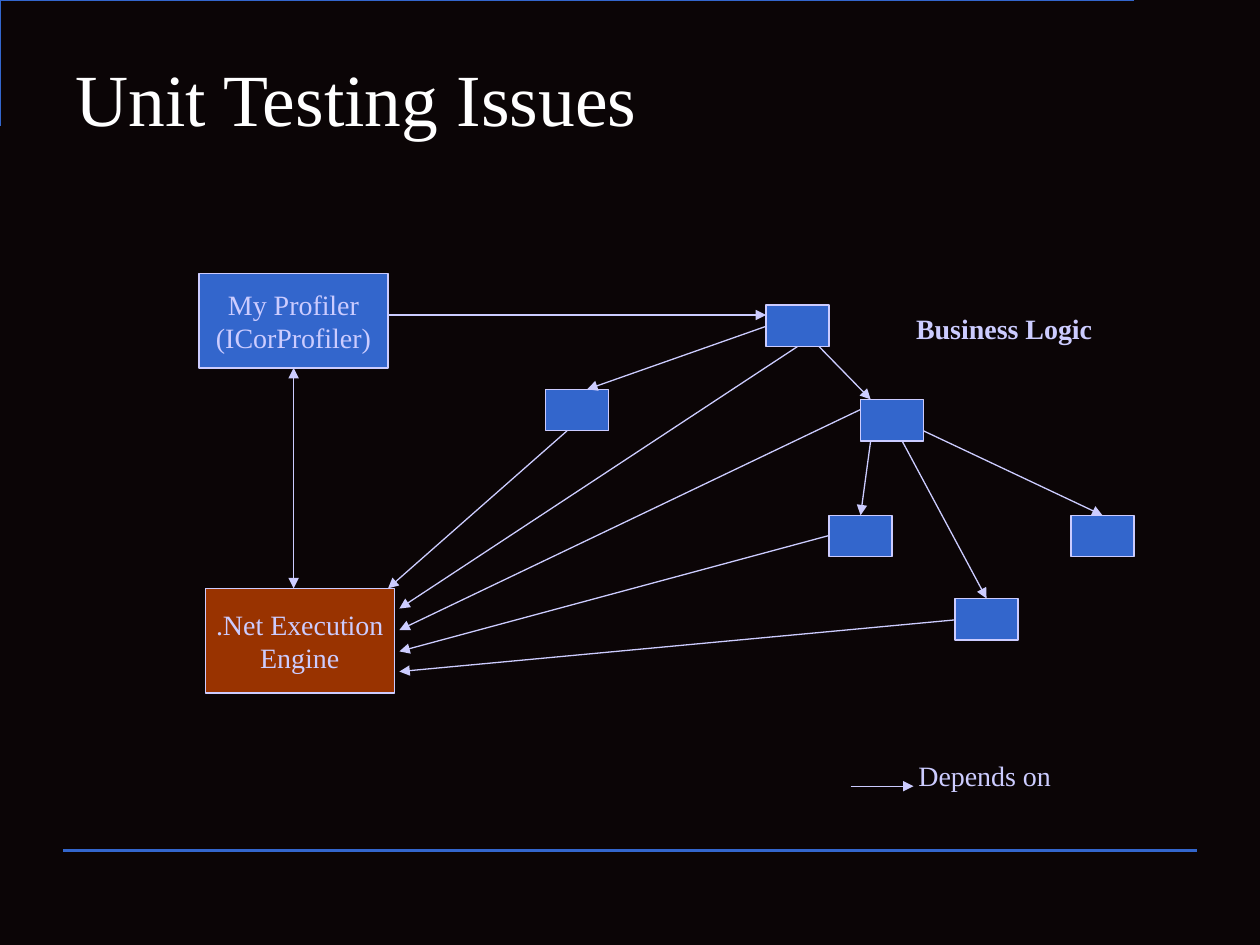
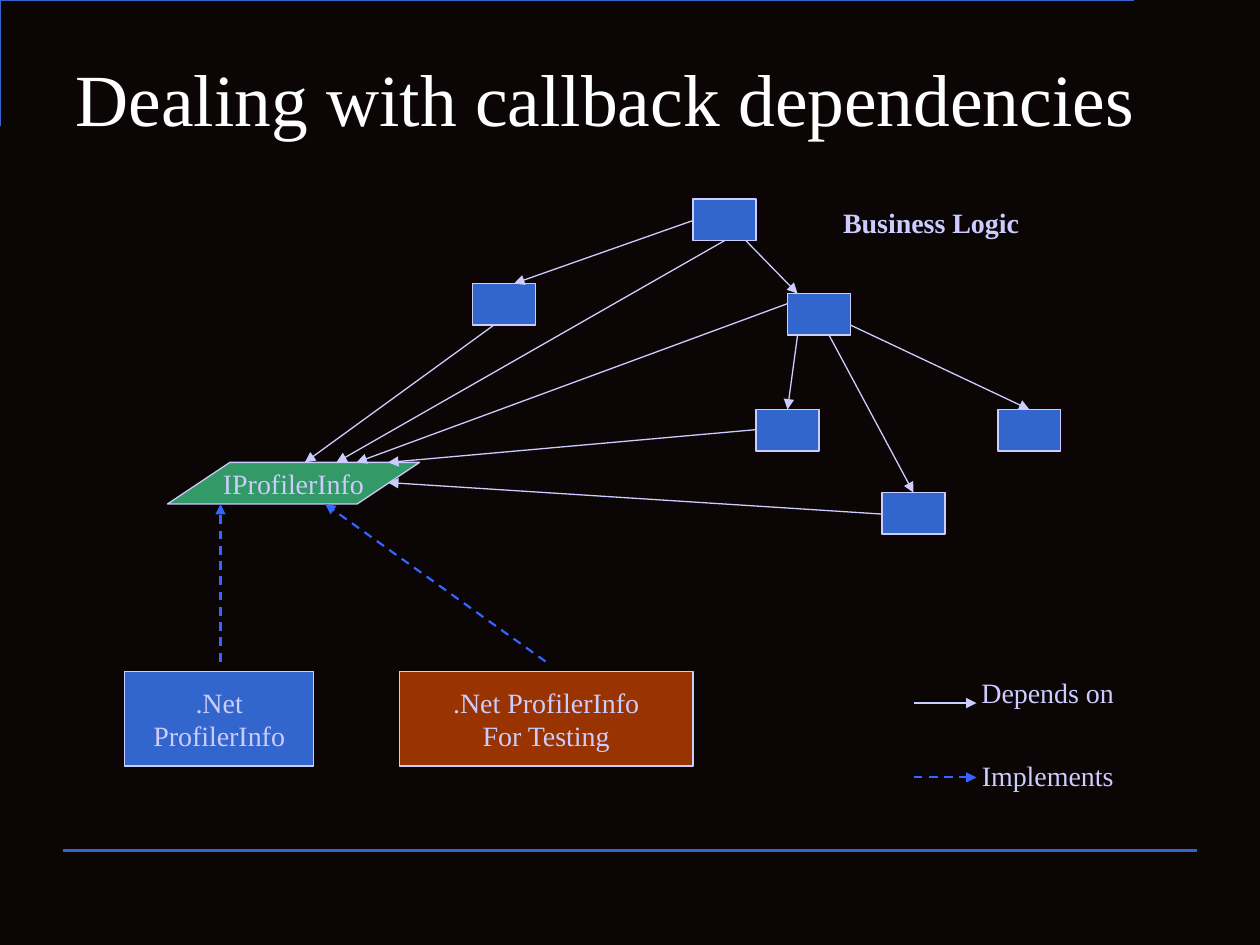
from dataclasses import dataclass
from pptx import Presentation
from pptx.dml.color import RGBColor
from pptx.enum.dml import MSO_LINE
from pptx.enum.shapes import MSO_CONNECTOR, MSO_SHAPE
from pptx.enum.text import MSO_ANCHOR, PP_ALIGN
from pptx.oxml.ns import qn
from pptx.util import Inches, Pt
from lxml import etree

RECT, SLANT = MSO_SHAPE.RECTANGLE, MSO_SHAPE.PARALLELOGRAM
STRAIGHT, DASH = MSO_CONNECTOR.STRAIGHT, MSO_LINE.DASH
LEFT, CENTER = PP_ALIGN.LEFT, PP_ALIGN.CENTER
TOP, MIDDLE = MSO_ANCHOR.TOP, MSO_ANCHOR.MIDDLE


@dataclass(frozen=True)
class Theme:
    back: RGBColor = RGBColor.from_string("0B0506")
    blue: RGBColor = RGBColor.from_string("3366CC")
    rust: RGBColor = RGBColor.from_string("993300")
    green: RGBColor = RGBColor.from_string("339966")
    pale: RGBColor = RGBColor.from_string("CCCCFF")
    vivid: RGBColor = RGBColor.from_string("3366FF")
    white: RGBColor = RGBColor.from_string("FFFFFF")
    font: str = "Times New Roman"
    head: int = 42
    body: int = 16
    thin: float = 0.75
    dash: float = 1.25
    rule: float = 1.5


look = Theme()


def write(shape, text, size=look.body, color=look.pale, bold=False,
          align=CENTER, anchor=MIDDLE, wrap=False, top=0.05):
    frame = shape.text_frame
    frame.text = text
    frame.word_wrap = wrap
    frame.vertical_anchor = anchor
    frame.margin_left = frame.margin_right = Inches(0.1)
    frame.margin_top, frame.margin_bottom = Inches(top), Inches(0.05)
    for para in frame.paragraphs:
        para.alignment = align
        para.space_before = Pt(0)
        para.font.name, para.font.size = look.font, Pt(size)
        para.font.bold, para.font.color.rgb = bold, color


def link(slide, start, end, color=look.pale, width=look.thin,
         dash=None, tips=("tailEnd",)):
    wire = slide.shapes.add_connector(
        STRAIGHT, *(Inches(n) for n in (*start, *end)))
    wire.line.color.rgb = color
    wire.line.width = Pt(width)
    if dash:
        wire.line.dash_style = dash
    props = wire.line._get_or_add_ln()
    for tip in tips:
        etree.SubElement(props, qn(f"a:{tip}"), type="triangle")
    etree.SubElement(props.getparent(), qn("a:effectLst"))


# The logic tree, measured from the corner of its root box
nodes = [(0, 0), (-1.75, 0.67), (0.75, 0.75),
         (0.5, 1.67), (1.5, 2.33), (2.42, 1.67)]
edges = [((0, 0.17), (-1.42, 0.67)), ((0.42, 0.33), (0.83, 0.75)),
         ((0.83, 1.08), (0.75, 1.67)), ((1.08, 1.08), (1.75, 2.33)),
         ((1.25, 1), (2.67, 1.67))]
exits = [(-1.58, 1), (0.25, 0.33), (0.75, 0.83), (0.5, 1.83), (1.5, 2.5)]

both = {"tips": ("headEnd", "tailEnd")}
dashed = {"color": look.vivid, "width": look.dash, "dash": DASH}

# What each slide adds: boxes, where the tree's arrows land, links and key
pages = [
    {"title": "Unit Testing Issues",
     "root": (6.08, 2.42),
     "boxes": [
         ("My Profiler\n(ICorProfiler)", RECT, look.blue, (1.58, 2.17, 1.5, 0.75)),
         (".Net Execution\nEngine", RECT, look.rust, (1.63, 4.67, 1.5, 0.83))],
     "ends": [(3.08, 4.67), (3.17, 4.83), (3.17, 5), (3.17, 5.17), (3.17, 5.33)],
     "links": [((3.08, 2.5), (6.08, 2.5), {}),
               ((2.33, 4.67), (2.33, 2.92), both)],
     "key": [("Depends on", (6.75, 6.24), 5.97, {})]},
    {"title": "Dealing with callback dependencies",
     "root": (5.5, 1.58),
     "boxes": [
         ("IProfilerInfo", SLANT, look.green, (1.33, 3.67, 2, 0.33)),
         (".Net\nProfilerInfo", RECT, look.blue, (0.99, 5.33, 1.5, 0.75)),
         (".Net ProfilerInfo\nFor Testing", RECT, look.rust, (3.17, 5.33, 2.33, 0.75))],
     "ends": [(2.42, 3.67), (2.67, 3.67), (2.83, 3.67), (3.08, 3.67), (3.08, 3.83)],
     "links": [((1.75, 5.25), (1.75, 4), dashed),
               ((4.33, 5.25), (2.58, 4), dashed)],
     "key": [("Depends on", (7.25, 5.58), 5.31, {}),
             ("Implements", (7.25, 6.17), 5.97, dashed)]},
]

deck = Presentation()
deck.slide_width, deck.slide_height = Inches(10), Inches(7.5)
fill = deck.slide_master.background.fill
fill.solid()
fill.fore_color.rgb = look.back

for page in pages:
    slide = deck.slides.add_slide(deck.slide_layouts[5])
    shapes = slide.shapes
    left, top = page["root"]

    # Corner rule and bottom rule
    path = shapes.build_freeform(0.42, 0.92, scale=Inches(1))
    path.add_line_segments([(0.42, 0.25), (9.42, 0.25)], close=False)
    corner = path.convert_to_shape()
    corner.shadow.inherit = False
    corner.fill.background()
    corner.line.color.rgb, corner.line.width = look.blue, Pt(look.rule)
    link(slide, (0.5, 6.75), (9.5, 6.75), look.blue, look.rule, tips=())

    # Title
    title = shapes.title
    title.left, title.top = Inches(0.5), Inches(0.3)
    title.width, title.height = Inches(9), Inches(1.11)
    write(title, page["title"], size=look.head, color=look.white,
          align=LEFT, anchor=TOP, wrap=True, top=0.12)

    # Tree boxes and named boxes
    tree = [("", RECT, look.blue, (left + x, top + y, 0.5, 0.33))
            for x, y in nodes]
    for text, kind, color, area in tree + page["boxes"]:
        box = shapes.add_shape(kind, *(Inches(n) for n in area))
        box.shadow.inherit = False
        box.fill.solid()
        box.fill.fore_color.rgb = color
        box.line.color.rgb, box.line.width = look.pale, Pt(look.thin)
        if kind == SLANT:
            box.adjustments[0] = 1.5
        if text:
            write(box, text, top=0.05)

    # Arrows within the tree, then out of it
    for (x1, y1), (x2, y2) in edges:
        link(slide, (left + x1, top + y1), (left + x2, top + y2))
    for (x, y), end in zip(exits, page["ends"]):
        link(slide, (left + x, top + y), end)
    for start, end, style in page["links"]:
        link(slide, start, end, **style)

    # Tree label and key
    label = shapes.add_textbox(Inches(left + 1.09), Inches(top),
                               Inches(1.6), Inches(0.37))
    write(label, "Business Logic", bold=True)
    for text, (x, y), high, style in page["key"]:
        link(slide, (x, y), (x + 0.5, y), **style)
        note = shapes.add_textbox(Inches(x + 0.44), Inches(high),
                                  Inches(1.25), Inches(0.37))
        write(note, text)

deck.save("out.pptx")
